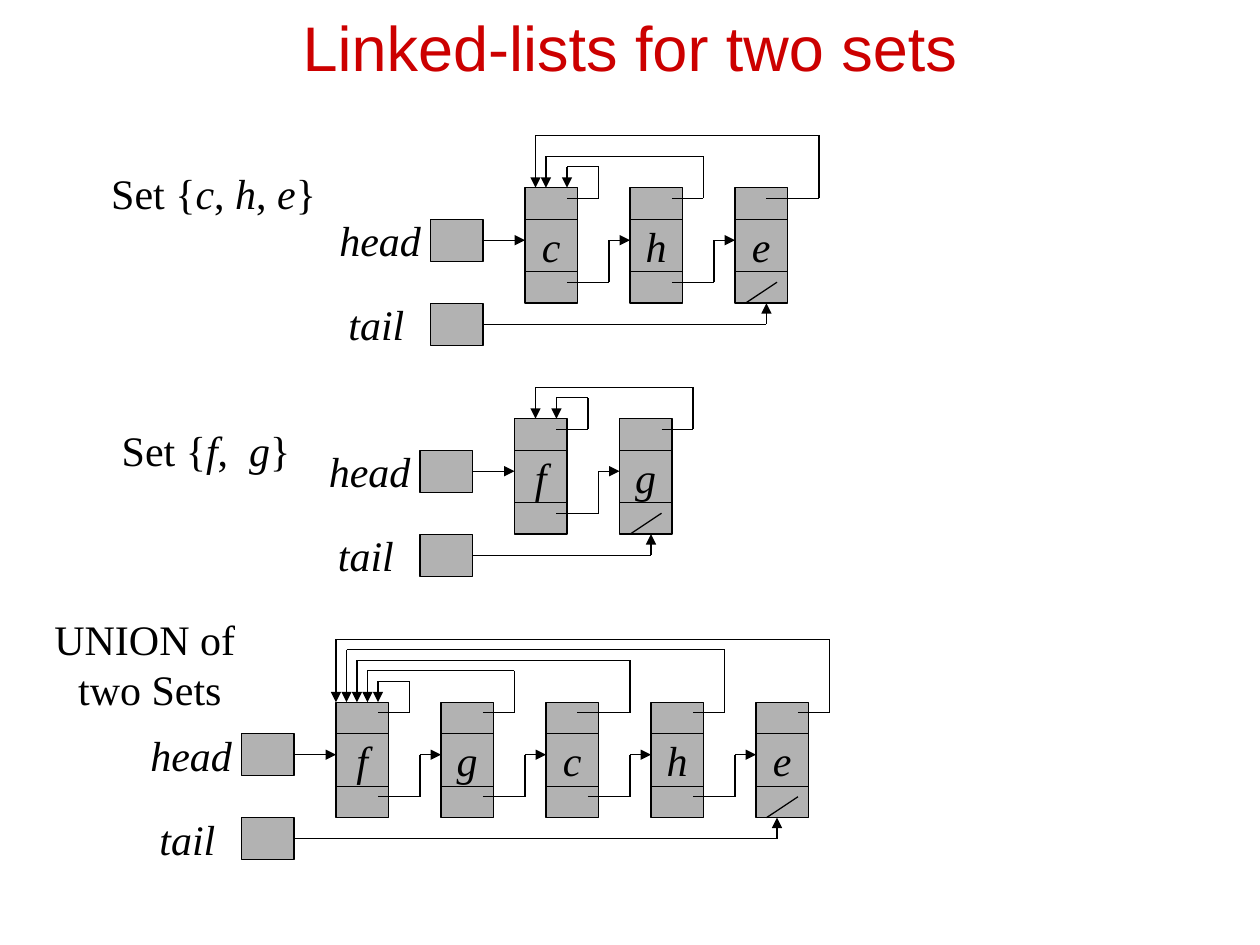
"""Build a slide of linked lists for two sets and their union on a grid of 1/12 inch."""
import pptx
import pptx.util
import pptx.dml.color
import pptx.enum.shapes
import pptx.enum.text
import pptx.oxml
import pptx.oxml.ns

WIDE, HIGH = 10, 7.5
INK, GREY, RED = "000000", "B2B2B2", "CC0000"
SERIF, SANS = "Times New Roman", "Arial"
PITCH, NODE_W, NODE_H, BOX_H = 10, 5, 11, 4

# Each list: left and top of the first node, then (letter, reach, rise, land) per node.
LISTS = [
    (50, 18, [("c", 7, 2, 4), ("h", 7, 3, 2), ("e", 8, 5, 1)], 3),
    (49, 40, [("f", 7, 2, 4), ("g", 7, 3, 2)], 3),
    (32, 67, [("f", 7, 2, 4), ("g", 7, 3, 3), ("c", 8, 4, 2),
              ("h", 7, 5, 1), ("e", 7, 6, 0)], 2),
]
NAMES = [
    ("Set {*c*, *h*, *e*}", 0.75, 1.28, 1.89, 0.5),
    ("Set {*f*,  *g*}", 0.86, 3.32, 1.55, 0.5),
    ("UNION of \ntwo Sets", 0.33, 4.82, 1.72, 0.9),
]
# Each end label: word, drop of its box, shift to the left of the list, width.
ENDS = [("head", 3, 19, 10.4), ("tail", NODE_H, 18, 7.7)]


def inch(num):
    return pptx.util.Inches(num)


def col(num):
    return inch(num / 12)


def row(num):
    return inch(num / 12 - 0.01)


def tint(code):
    return pptx.dml.color.RGBColor.from_string(code)


def write(frame, text, font=SERIF, size=24, code=INK):
    """Fill a frame with centred lines, where words between stars are italic."""
    frame.word_wrap = False
    for num, line in enumerate(text.split("\n")):
        para = frame.paragraphs[0] if num == 0 else frame.add_paragraph()
        para.alignment = pptx.enum.text.PP_ALIGN.CENTER
        para.font.name, para.font.size = font, pptx.util.Pt(size)
        para.font.color.rgb = tint(code)
        for spot, part in enumerate(line.split("*")):
            if part:
                run = para.add_run()
                run.text = part
                run.font.italic = spot % 2 == 1


def label(slide, text, *place):
    box = slide.shapes.add_textbox(*place)
    write(box.text_frame, text)
    box.text_frame.auto_size = pptx.enum.text.MSO_AUTO_SIZE.SHAPE_TO_FIT_TEXT


def block(slide, left, top, high, text=""):
    box = slide.shapes.add_shape(pptx.enum.shapes.MSO_SHAPE.RECTANGLE,
                                 col(left), row(top), col(NODE_W), col(high))
    box.shadow.inherit = False
    box.fill.solid()
    box.fill.fore_color.rgb = tint(GREY)
    box.line.color.rgb = tint(INK)
    box.line.width = pptx.util.Pt(0.75)
    if text:
        write(box.text_frame, text)
        box.text_frame.vertical_anchor = pptx.enum.text.MSO_ANCHOR.MIDDLE


def trace(slide, *spots, arrow=True):
    """Join grid spots with straight lines, the last one with an arrowhead."""
    for start, end in zip(spots, spots[1:]):
        line = slide.shapes.add_connector(
            pptx.enum.shapes.MSO_CONNECTOR.STRAIGHT,
            col(start[0]), row(start[1]), col(end[0]), row(end[1]))
        line.line.color.rgb = tint(INK)
        line.line.width = pptx.util.Pt(0.75)
        props = line._element.spPr
        if arrow and end == spots[-1]:
            tip = pptx.oxml.parse_xml(
                '<a:tailEnd %s type="triangle"/>' % pptx.oxml.ns.nsdecls("a"))
            line.line._get_or_add_ln().append(tip)
        props.append(pptx.oxml.parse_xml(
            "<a:effectLst %s/>" % pptx.oxml.ns.nsdecls("a")))


def node(slide, left, top, text, last):
    """Draw a three-part node with its link onward, or a slash at the end."""
    block(slide, left, top, NODE_H, "*%s*" % text)
    for rule in (3, 8):
        trace(slide, (left, top + rule), (left + NODE_W, top + rule), arrow=False)
    if last:
        trace(slide, (left + 1, top + NODE_H), (left + 4, top + 9), arrow=False)
    else:
        trace(slide, (left + 4, top + 9), (left + 8, top + 9),
              (left + 8, top + 5), (left + PITCH, top + 5))


def chain(slide, left, top, nodes, dock):
    """Draw a whole list: head and tail boxes, nodes and links to the first."""
    for word, drop, shift, width in ENDS:
        block(slide, left - 9, top + drop, BOX_H)
        label(slide, "*%s*" % word, col(left - shift), row(top + drop - 1),
              col(width), col(6))
    for num, (text, reach, rise, land) in enumerate(nodes):
        here = left + num * PITCH
        node(slide, here, top, text, num == len(nodes) - 1)
        trace(slide, (here + 11 - reach, top + 1), (here + reach, top + 1),
              (here + reach, top - rise), (left + land, top - rise),
              (left + land, top))
    end = left + (len(nodes) - 1) * PITCH + dock
    trace(slide, (left - 4, top + 5), (left, top + 5))
    trace(slide, (left - 4, top + 13), (end, top + 13), (end, top + NODE_H))


def head(slide, text):
    title = slide.shapes.title
    title.left, title.top = inch(0.075 * WIDE), inch(0.05)
    title.width, title.height = inch(0.85 * WIDE), inch(0.63)
    write(title.text_frame, text, SANS, 36, RED)
    title.text_frame.word_wrap = True
    title.text_frame.auto_size = pptx.enum.text.MSO_AUTO_SIZE.NONE
    title.text_frame.vertical_anchor = pptx.enum.text.MSO_ANCHOR.MIDDLE


def main():
    deck = pptx.Presentation()
    deck.slide_width, deck.slide_height = inch(WIDE), inch(HIGH)
    slide = deck.slides.add_slide(deck.slide_layouts[5])
    head(slide, "Linked-lists for two sets")
    for left, top, nodes, dock in LISTS:
        chain(slide, left, top, nodes, dock)
    for text, *place in NAMES:
        label(slide, text, *map(inch, place))
    deck.save("out.pptx")


if __name__ == "__main__":
    main()
